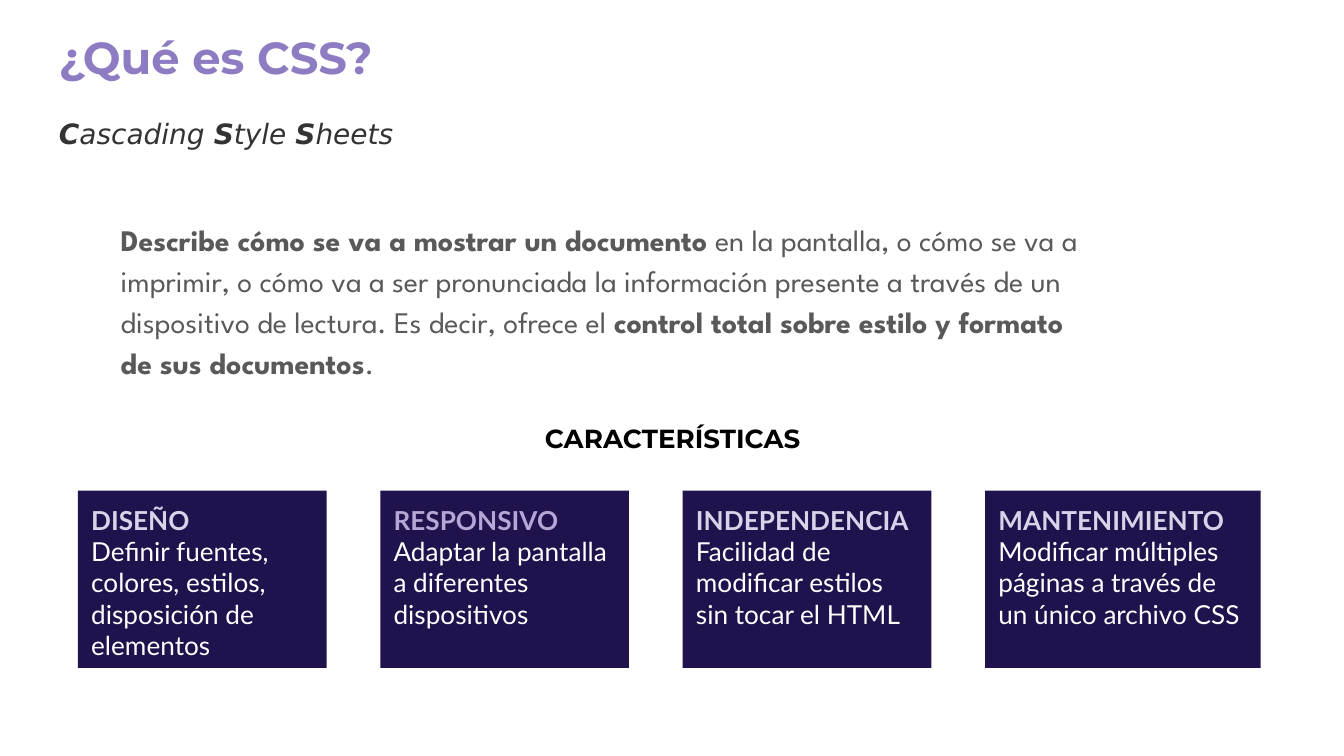
from pptx import Presentation
from pptx.dml.color import RGBColor
from pptx.enum.shapes import MSO_SHAPE as Shape
from pptx.enum.text import MSO_ANCHOR as Anchor, PP_ALIGN as Align
from pptx.util import Inches, Pt

COLORS = {
    "title": "8E7CC3",
    "subtitle": "333333",
    "body": "595959",
    "heading": "000000",
    "card": "20124D",
    "lilac": "D9D2E9",
    "violet": "B4A7D6",
    "white": "FFFFFF",
}


def prepare_frame(shape):
    frame = shape.text_frame
    frame.word_wrap = True
    frame.vertical_anchor = Anchor.TOP
    frame.margin_left = frame.margin_right = Inches(0.1)
    frame.margin_top = frame.margin_bottom = Inches(0.1)
    return frame


def write_paragraph(para, spans, font, size, color):
    para.alignment = Align.LEFT
    para.font.name = font
    para.font.size = Pt(size)
    para.font.color.rgb = RGBColor.from_string(COLORS[color])
    for text, bold in spans:
        span = para.add_run()
        span.text = text
        span.font.bold = bold


deck = Presentation()
deck.slide_width = Inches(10)
deck.slide_height = Inches(10 * 9 / 16)
page = deck.slides.add_slide(deck.slide_layouts[6])

title_box = page.shapes.add_textbox(Inches(0.34), Inches(0.12), Inches(9.32), Inches(0.63))
frame = prepare_frame(title_box)
write_paragraph(frame.paragraphs[0], [("¿Qué es CSS?", True)], "Montserrat", 24, "title")
subtitle = frame.add_paragraph()
subtitle.space_before = Pt(18)
subtitle.font.italic = True
write_paragraph(subtitle, [
    ("C", True), ("ascading ", False),
    ("S", True), ("tyle ", False),
    ("S", True), ("heets", False),
], "DejaVu Sans", 15, "subtitle")

description_box = page.shapes.add_textbox(Inches(0.8), Inches(1.51), Inches(7.34), Inches(0.94))
description = prepare_frame(description_box).paragraphs[0]
description.line_spacing = 1.15
description.space_after = Pt(16)
write_paragraph(description, [
    ("Describe cómo se va a mostrar un documento", True),
    (" en la pantalla, o cómo se va a imprimir, o cómo va a ser pronunciada la información "
     "presente a través de un dispositivo de lectura. Es decir, ofrece el ", False),
    ("control total sobre estilo y formato de sus documentos", True),
    (".", False),
], "League Spartan", 16, "body")

cards = [
    ("DISEÑO", "lilac", 1.85, "Definir fuentes, colores, estilos, disposición de elementos"),
    ("RESPONSIVO", "violet", 1.85, "Adaptar la pantalla a diferentes dispositivos"),
    ("INDEPENDENCIA", "lilac", 1.85, "Facilidad de modificar estilos sin tocar el HTML"),
    ("MANTENIMIENTO", "lilac", 2.05, "Modificar múltiples páginas a través de un único archivo CSS"),
]
for index, (name, name_color, width, detail) in enumerate(cards):
    card = page.shapes.add_shape(
        Shape.RECTANGLE, Inches(0.58 + 2.25 * index), Inches(3.65), Inches(width), Inches(1.32))
    card.shadow.inherit = False
    card.fill.solid()
    card.fill.fore_color.rgb = RGBColor.from_string(COLORS["card"])
    card.line.fill.background()
    frame = prepare_frame(card)
    write_paragraph(frame.paragraphs[0], [(name, True)], "Lato", 14, name_color)
    write_paragraph(frame.add_paragraph(), [(detail, False)], "Lato", 14, "white")

heading_box = page.shapes.add_textbox(Inches(3.51), Inches(3.04), Inches(2.99), Inches(0.35))
heading = prepare_frame(heading_box).paragraphs[0]
write_paragraph(heading, [("CARACTERÍSTICAS", True)], "Montserrat", 14, "heading")
heading.alignment = Align.CENTER

deck.save("out.pptx")
